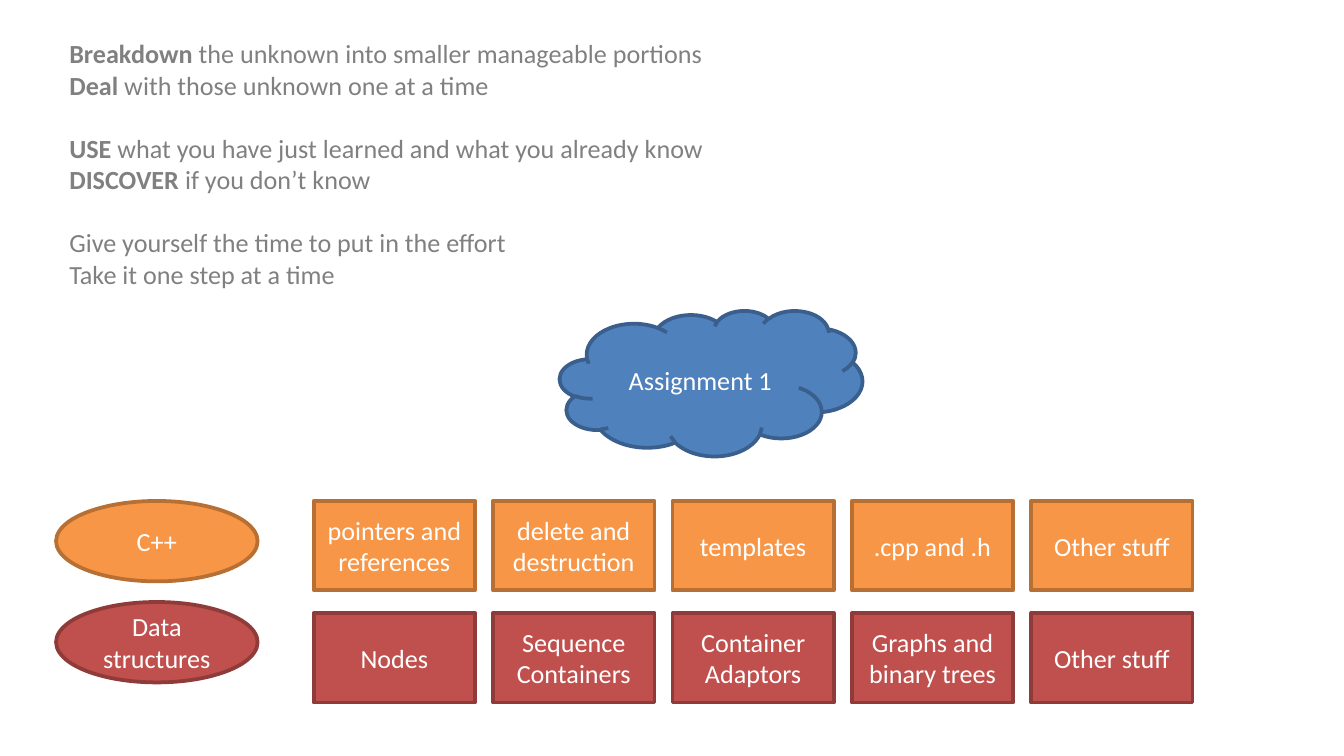
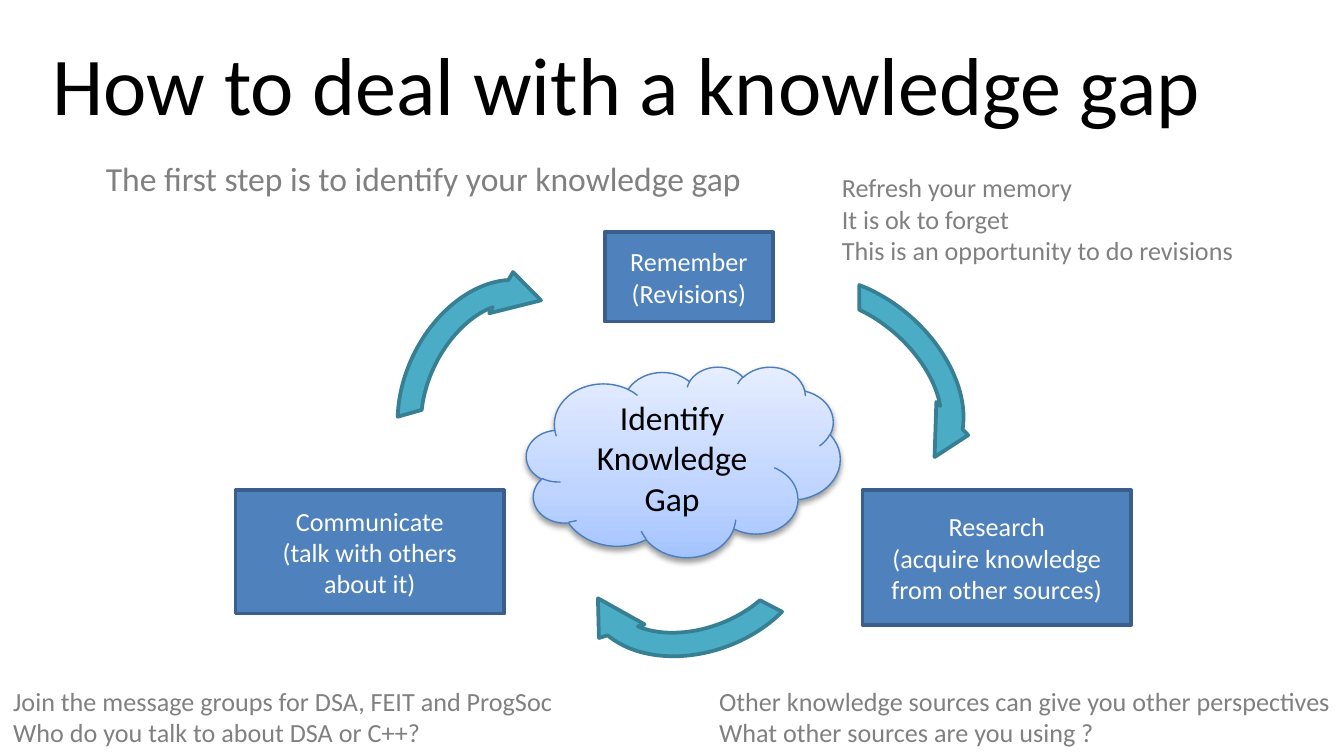
from copy import deepcopy
from dataclasses import dataclass

from lxml.etree import SubElement
from pptx import Presentation
from pptx.dml.color import RGBColor
from pptx.enum.shapes import MSO_SHAPE
from pptx.enum.text import MSO_ANCHOR, MSO_AUTO_SIZE, PP_ALIGN
from pptx.oxml.ns import qn
from pptx.util import Cm, Pt


@dataclass(frozen=True)
class Theme:
    font: str = "Calibri"
    title: int = 44
    large: int = 18
    small: int = 14
    gap: int = 17
    edge: float = 2
    thin: float = 0.75
    black: str = "000000"
    white: str = "FFFFFF"
    grey: str = "808080"
    blue: tuple = ("4F81BD", "3A5F8C")
    orange: tuple = ("F79646", "B76F34")
    red: tuple = ("C0504D", "8E3B39")
    teal: tuple = ("4BACC6", "377F92")
    rim: str = "4B7EBC"
    sky: tuple = ((0, "A4C4FF"), (0.35, "BFD4FF"), (1, "E6EEFF"))


THEME = Theme()
ARROW = (0.125, 13.677, 204.577, 136.729, 0.125)


def color(code):
    return RGBColor.from_string(code)


def shift(box, left, top, width, height):
    return box[0] + left, box[1] + top, width, height


def write(shape, *groups, size=THEME.small, ink=THEME.white,
          align=PP_ALIGN.CENTER, anchor=MSO_ANCHOR.MIDDLE, wrap=True):
    frame = shape.text_frame
    frame.word_wrap = wrap
    frame.vertical_anchor = anchor
    for g, group in enumerate(groups):
        for n, line in enumerate(group):
            first = g == n == 0
            para = frame.paragraphs[0] if first else frame.add_paragraph()
            para.alignment = align
            if g and n == 0:
                para.space_before = Pt(THEME.gap)
            parts = (line,) if isinstance(line, str) else line
            for i, part in enumerate(parts):
                run = para.add_run()
                run.text = part
                run.font.name = THEME.font
                run.font.size = Pt(size)
                run.font.bold = len(parts) > 1 and i == 0
                run.font.color.rgb = color(ink)


def draw(slide, kind, box, pair, lines=()):
    shape = slide.shapes.add_shape(kind, *map(Cm, box))
    shape.shadow.inherit = False
    shape.fill.solid()
    shape.fill.fore_color.rgb = color(pair[0])
    shape.line.color.rgb = color(pair[1])
    shape.line.width = Pt(THEME.edge)
    if lines:
        write(shape, lines)
    return shape


def note(slide, box, *groups, size=THEME.small, wrap=True):
    shape = slide.shapes.add_textbox(*map(Cm, box))
    write(shape, *groups, size=size, ink=THEME.grey, align=PP_ALIGN.LEFT,
          anchor=MSO_ANCHOR.TOP, wrap=wrap)
    shape.text_frame.auto_size = MSO_AUTO_SIZE.SHAPE_TO_FIT_TEXT


def topic(slide, box, pair, name, drop, items):
    draw(slide, MSO_SHAPE.OVAL, shift(box, 0, 0, 3.81, 1.52), pair, [name])
    for i, item in enumerate(items):
        spot = shift(box, 4.87 + 3.39 * i, drop, 3.05, 1.69)
        draw(slide, MSO_SHAPE.RECTANGLE, spot, pair, [item])


def glow(slide, box, label):
    cloud = draw(slide, MSO_SHAPE.CLOUD, box, (THEME.white, THEME.rim))
    cloud.line.width = Pt(THEME.thin)
    fill = cloud.fill
    fill.gradient()
    fill.gradient_angle = 90
    props = cloud._element.spPr
    stops = props.find(".//" + qn("a:gsLst"))
    stops.append(deepcopy(stops[0]))
    for stop, (place, tint) in zip(fill.gradient_stops, THEME.sky):
        stop.position = place
        stop.color.rgb = color(tint)
    shade = SubElement(props.find(qn("a:effectLst")), qn("a:outerShdw"),
                       blurRad=str(Pt(3.1)), dist=str(Pt(1.6)),
                       dir="5400000", rotWithShape="0")
    tone = SubElement(shade, qn("a:srgbClr"), val=THEME.black)
    SubElement(tone, qn("a:alpha"), val="38000")
    write(cloud, [label], size=THEME.large, ink=THEME.black)


def cycle(slide, box):
    glow(slide, shift(box, 5.5, 2.54, 5.93, 3.6), "Identify Knowledge Gap")
    for spot, turn in (
        ((2.35, 1.2, 4.87, 3.6), 296.3),
        ((9.27, 1.02, 5.02, 3.48), 42.4),
        ((6.31, 4.55, 4.87, 3.6), 159.6),
    ):
        arrow = draw(slide, MSO_SHAPE.CIRCULAR_ARROW, shift(box, *spot), THEME.teal)
        arrow.rotation = turn
        for i, value in enumerate(ARROW):
            arrow.adjustments[i] = value
    for spot, lines in (
        ((6.98, 0, 3.18, 1.69), ("Remember", "(Revisions)")),
        ((11.85, 4.88, 5.08, 2.54),
         ("Research", "(acquire knowledge from other sources)")),
        ((0, 4.88, 5.08, 2.33), ("Communicate", "(talk with others about it)")),
    ):
        draw(slide, MSO_SHAPE.RECTANGLE, shift(box, *spot), THEME.blue, lines)


def plan(deck):
    slide = deck.slides.add_slide(deck.slide_layouts[6])
    note(slide, (1.06, 0.59, 16.93, 5.05),
         [("Breakdown", " the unknown into smaller manageable portions"),
          ("Deal", " with those unknown one at a time")],
         [("USE", " what you have just learned and what you already know"),
          ("DISCOVER", " if you don’t know")],
         ["Give yourself the time to put in the effort",
          "Take it one step at a time"])
    draw(slide, MSO_SHAPE.CLOUD, (10.58, 5.87, 5.72, 2.75), THEME.blue,
         ["Assignment 1"])
    topic(slide, (1.06, 9.47), THEME.orange, "C++", 0,
          ("pointers and references", "delete and destruction", "templates",
           ".cpp and .h", "Other stuff"))
    topic(slide, (1.06, 11.38), THEME.red, "Data structures", 0.21,
          ("Nodes", "Sequence Containers", "Container Adaptors",
           "Graphs and binary trees", "Other stuff"))


def gap(deck):
    slide = deck.slides.add_slide(deck.slide_layouts[5])
    title = slide.shapes.title
    title.left, title.top, title.width, title.height = map(
        Cm, (0.42, 0.38, 22.86, 2.38))
    write(title, ["How to deal with a knowledge gap"],
          size=THEME.title, ink=THEME.black)
    cycle(slide, (4.45, 4.39))
    note(slide, (15.66, 3.12, 9.74, 2.06),
         ["Refresh your memory", "It is ok to forget",
          "This is an opportunity to do revisions"])
    note(slide, (13.34, 12.83, 12.07, 1.45),
         ["Other knowledge sources can give you other perspectives",
          "What other sources are you using ?"])
    note(slide, (0, 12.83, 11.22, 1.45),
         ["Join the message groups for DSA, FEIT and ProgSoc",
          "Who do you talk to about DSA or C++?"])
    note(slide, (1.75, 2.87, 12.68, 1.02),
         ["The first step is to identify your knowledge gap"],
         size=THEME.large, wrap=False)


def main():
    deck = Presentation()
    deck.slide_width, deck.slide_height = Cm(25.4), Cm(14.29)
    plan(deck)
    gap(deck)
    deck.save("out.pptx")


if __name__ == "__main__":
    main()
